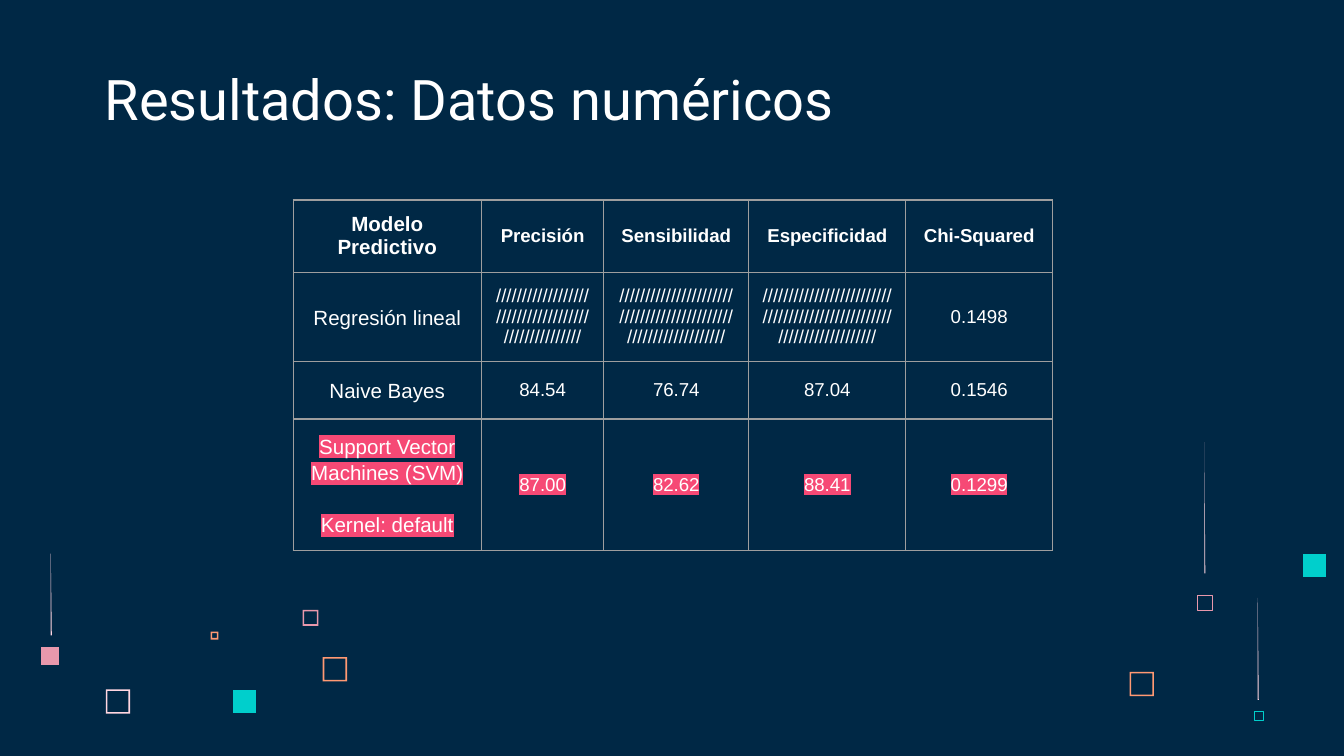
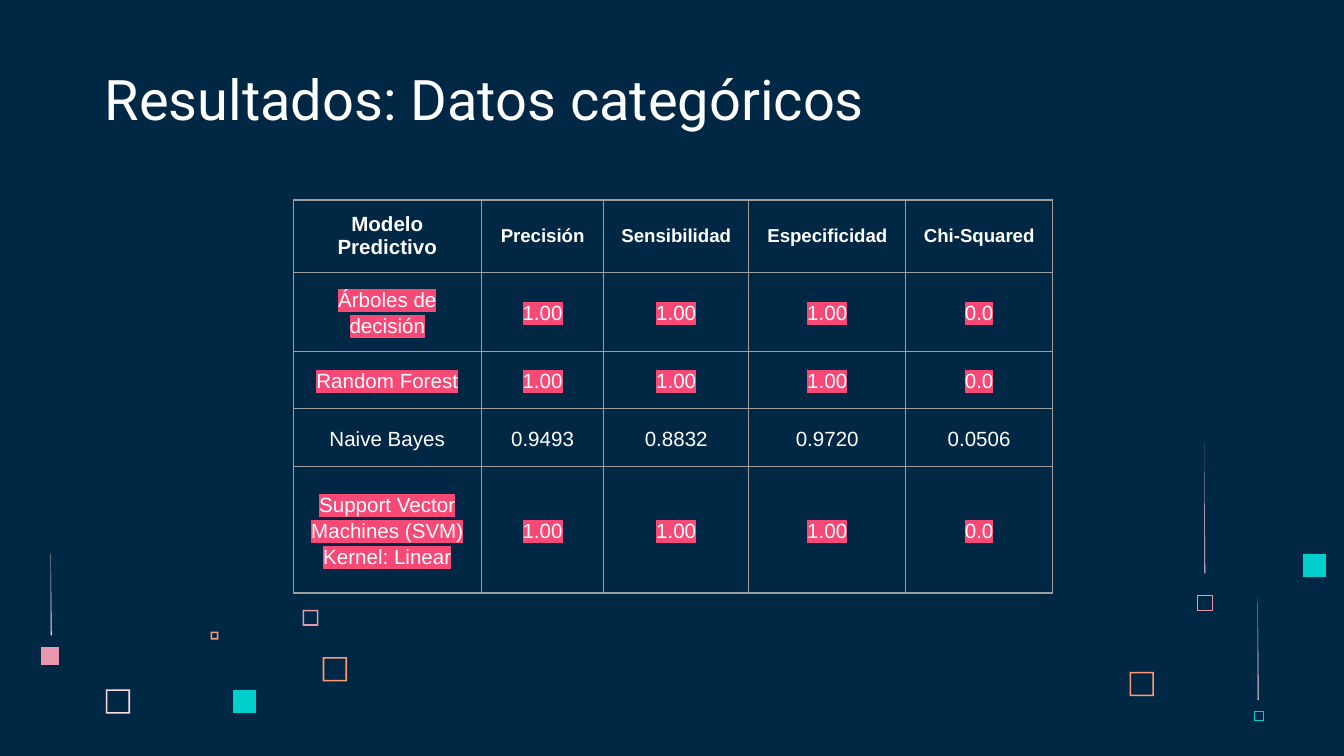
"""Build two result slides, each with a table of model scores on a navy page."""
from lxml import etree
from pptx import Presentation
from pptx.dml.color import RGBColor
from pptx.enum.text import MSO_ANCHOR, MSO_AUTO_SIZE, PP_ALIGN
from pptx.oxml.ns import qn
from pptx.util import Cm, Pt

LEFT, CENTER = PP_ALIGN.LEFT, PP_ALIGN.CENTER
MIDDLE, BOTTOM = MSO_ANCHOR.MIDDLE, MSO_ANCHOR.BOTTOM
NO_AUTOFIT = MSO_AUTO_SIZE.NONE
TITLE_ONLY = 5

NAVY, WHITE, GRAY = "002845", "FFFFFF", "9E9E9E"
BLUSH, PINK, ORANGE, TEAL, ROSE = "FFD6E1", "E898AC", "FF9973", "00CFCC", "F64975"

FRAMES = [
    (2.0, 13.03, 0.46, BLUSH),
    (5.72, 11.53, 0.3, PINK),
    (3.98, 11.94, 0.15, ORANGE),
    (6.1, 12.42, 0.46, ORANGE),
    (21.35, 12.7, 0.46, ORANGE),
]
SOLIDS = [(4.4, 13.05, 0.43, TEAL), (0.78, 12.24, 0.34, PINK), (24.63, 10.47, 0.43, TEAL)]
HOLLOWS = [(22.63, 11.26, 0.28, PINK), (23.71, 13.45, 0.16, TEAL)]
RAYS = [(22.76, 8.36, 2.48), (0.96, 10.46, 1.55), (23.77, 11.3, 1.93)]

COLUMN_WIDTHS = [3.56, 2.31, 2.74, 2.97, 2.77]
HEADINGS = ["Modelo Predictivo", "Precisión", "Sensibilidad", "Especificidad", "Chi-Squared"]
HEADING_HEIGHT = 1.3

NUMERIC_ROWS = [
    (1.37, False, ["Regresión lineal", "/" * 51, "/" * 63, "/" * 69, "0.1498"]),
    (1.09, False, ["Naive Bayes", "84.54", "76.74", "87.04", "0.1546"]),
    (2.39, True, ["Support Vector Machines (SVM)\nKernel: default",
                  "87.00", "82.62", "88.41", "0.1299"]),
]
PERFECT = ["1.00", "1.00", "1.00", "0.0"]
CATEGORICAL_ROWS = [
    (1.37, True, ["Árboles de decisión", *PERFECT]),
    (1.09, True, ["Random Forest", *PERFECT]),
    (1.09, False, ["Naive Bayes", "0.9493", "0.8832", "0.9720", "0.0506"]),
    (2.39, True, ["Support Vector Machines (SVM) Kernel: Linear", *PERFECT]),
]


def color(value):
    return RGBColor.from_string(value)


def write(frame, text, font="Arial", size=10, bold=False, align=CENTER,
          spaced=False, highlight=None):
    lines = text.split("\n")
    for index, line in enumerate(lines):
        para = frame.add_paragraph() if index else frame.paragraphs[0]
        para.alignment = align
        if spaced:
            para.line_spacing = 1.15
            para.space_before = Pt(14)
            para.space_after = Pt(4 if line is lines[-1] else 0)
        span = para.add_run()
        span.text = line
        span.font.name = font
        span.font.size = Pt(size)
        span.font.bold = bold
        span.font.color.rgb = color(WHITE)
        if highlight:
            mark = etree.Element(qn("a:highlight"))
            etree.SubElement(mark, qn("a:srgbClr"), val=highlight)
            span.font._element.find(qn("a:solidFill")).addnext(mark)


def square(left, top, side):
    right, bottom = left + side, top + side
    return [(left, top), (right, top), (right, bottom), (left, bottom)]


class Slides:
    def __init__(self):
        self.deck = Presentation()
        self.deck.slide_width = Cm(25.4)
        self.deck.slide_height = Cm(14.29)
        backdrop = self.deck.slide_master.background.fill
        backdrop.solid()
        backdrop.fore_color.rgb = color(NAVY)
        self.page = None

    def start(self, title):
        self.page = self.deck.slides.add_slide(self.deck.slide_layouts[TITLE_ONLY])
        self.decorate()
        box = self.page.shapes.title
        box.left, box.top, box.width, box.height = Cm(1.73), Cm(1.14), Cm(15.65), Cm(1.6)
        frame = box.text_frame
        frame.auto_size = NO_AUTOFIT
        frame.word_wrap = True
        frame.vertical_anchor = BOTTOM
        frame.margin_left = frame.margin_right = Cm(0.25)
        frame.margin_top = frame.margin_bottom = Cm(0.25)
        write(frame, title, font="Roboto", size=30, align=LEFT)

    def outline(self, contours, fill=None, line=None):
        scaled = [[(Cm(x), Cm(y)) for x, y in contour] for contour in contours]
        builder = self.page.shapes.build_freeform(*scaled[0][0])
        builder.add_line_segments(scaled[0][1:])
        for contour in scaled[1:]:
            builder.move_to(*contour[0])
            builder.add_line_segments(contour[1:])
        shape = builder.convert_to_shape()
        shape.shadow.inherit = False
        if fill:
            shape.fill.solid()
            shape.fill.fore_color.rgb = color(fill)
        else:
            shape.fill.background()
        if line:
            shape.line.color.rgb = color(line)
            shape.line.width = Pt(0.23)
        else:
            shape.line.fill.background()

    def decorate(self):
        edge = 0.03
        for left, top, side, tint in FRAMES:
            inner = square(left + edge, top + edge, side - 2 * edge)
            self.outline([square(left, top, side), inner[::-1]], fill=tint)
        for left, top, side, tint in SOLIDS:
            self.outline([square(left, top, side)], fill=tint)
        for left, top, side, tint in HOLLOWS:
            self.outline([square(left, top, side)], line=tint)
        for left, top, length in RAYS:
            foot = top + length
            self.outline([[(left, top), (left, foot), (left + 0.02, foot)]], fill=BLUSH)

    def border(self, cell):
        properties = cell._tc.get_or_add_tcPr()
        for index, side in enumerate(["a:lnL", "a:lnR", "a:lnT", "a:lnB"]):
            line = etree.Element(qn(side), w=str(Pt(0.75)))
            paint = etree.SubElement(line, qn("a:solidFill"))
            etree.SubElement(paint, qn("a:srgbClr"), val=GRAY)
            properties.insert(index, line)

    def cell(self, cell, text, **style):
        cell.fill.background()
        cell.vertical_anchor = MIDDLE
        cell.margin_left = cell.margin_right = Cm(0.25)
        cell.margin_top = cell.margin_bottom = Cm(0.25)
        self.border(cell)
        write(cell.text_frame, text, **style)

    def table(self, rows, value_size, values_spaced):
        heights = [HEADING_HEIGHT] + [height for height, _, _ in rows]
        table = self.page.shapes.add_table(
            len(heights), len(COLUMN_WIDTHS), Cm(5.54), Cm(3.78),
            Cm(sum(COLUMN_WIDTHS)), Cm(sum(heights))).table
        table.first_row = table.horz_banding = False
        for column, width in zip(table.columns, COLUMN_WIDTHS):
            column.width = Cm(width)
        for row, height in zip(table.rows, heights):
            row.height = Cm(height)
        for place, heading in enumerate(HEADINGS):
            self.cell(table.cell(0, place), heading, size=10 if place else 11, bold=True)
        for number, (_, best, texts) in enumerate(rows, 1):
            for place, text in enumerate(texts):
                self.cell(table.cell(number, place), text,
                          size=value_size if place else 11,
                          spaced=values_spaced or place == 0,
                          highlight=ROSE if best else None)


def main():
    slides = Slides()
    slides.start("Resultados: Datos numéricos")
    slides.table(NUMERIC_ROWS, value_size=10, values_spaced=False)
    slides.start("Resultados: Datos categóricos")
    slides.table(CATEGORICAL_ROWS, value_size=11, values_spaced=True)
    slides.deck.save("out.pptx")


if __name__ == "__main__":
    main()
